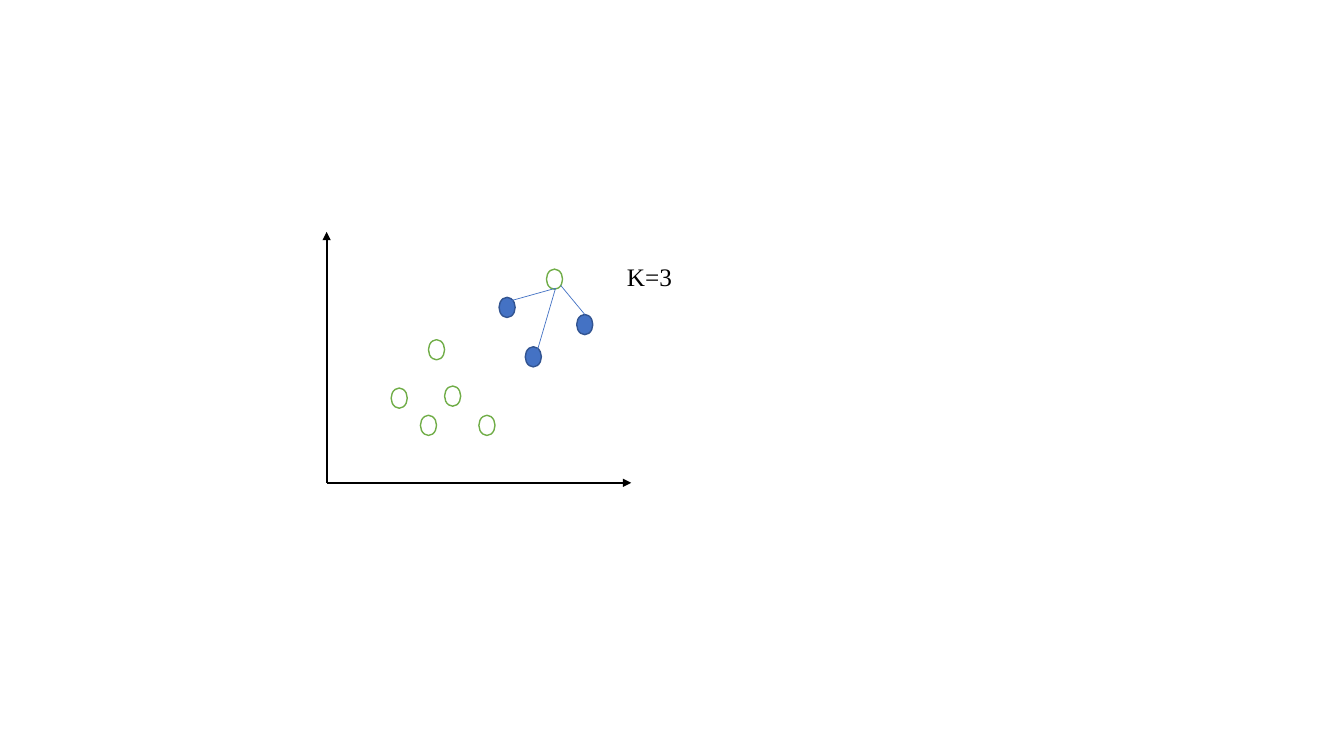
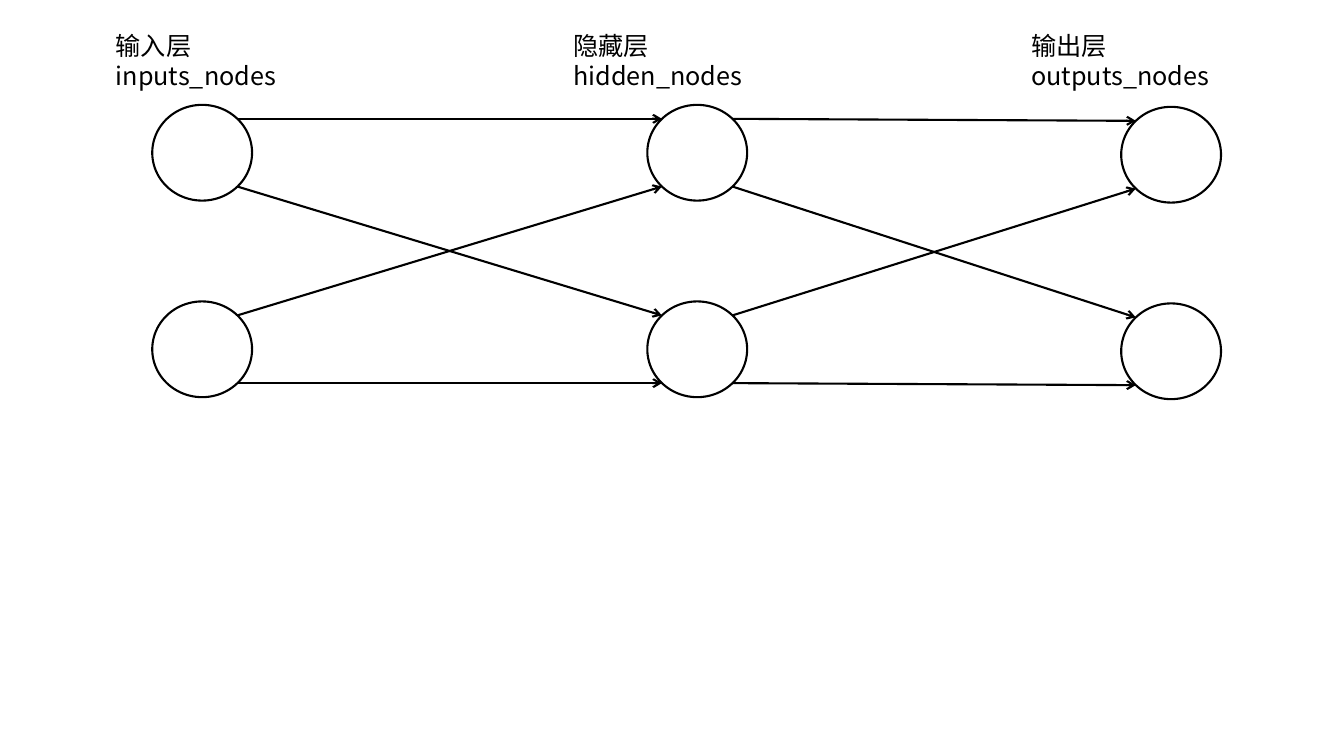
from itertools import product
from math import sqrt

from pptx import Presentation
from pptx.dml.color import RGBColor
from pptx.enum import shapes, text
from pptx.oxml.ns import qn
from pptx.util import Inches, Pt
from lxml import etree

BLACK = RGBColor(0x00, 0x00, 0x00)
WHITE = RGBColor(0xFF, 0xFF, 0xFF)
GREEN = RGBColor(0x70, 0xAD, 0x47)
BLUE = RGBColor(0x44, 0x72, 0xC4)
DARK_BLUE = RGBColor(0x32, 0x54, 0x91)

LATIN_FONT = "Times New Roman"
CJK_FONT = "Noto Sans CJK SC"
POINT_SIZE = (0.16, 0.2)
NODE_SIZE = (0.99, 0.95)
NODE_PITCH = 1.95


def add_circle(slide, left, top, size, fill, outline, weight):
    """Add a filled ellipse with a solid outline."""
    shape = slide.shapes.add_shape(
        shapes.MSO_SHAPE.OVAL, Inches(left), Inches(top), *map(Inches, size))
    shape.shadow.inherit = False
    shape.fill.solid()
    shape.fill.fore_color.rgb = fill
    shape.line.color.rgb = outline
    shape.line.width = Pt(weight)


def add_line(slide, start, end, color, weight, arrowhead=None):
    """Add a straight line, with an optional arrowhead at its end."""
    connector = slide.shapes.add_connector(
        shapes.MSO_CONNECTOR.STRAIGHT, *map(Inches, (*start, *end)))
    connector.line.color.rgb = color
    connector.line.width = Pt(weight)
    if arrowhead:
        outline = connector.line._get_or_add_ln()
        etree.SubElement(outline, qn("a:tailEnd"), type=arrowhead)
    properties = connector._element.spPr
    etree.SubElement(properties, qn("a:effectLst"))


def add_label(slide, left, top, size, lines, font):
    """Add a black 18 point label, one run to a line."""
    box = slide.shapes.add_textbox(
        Inches(left), Inches(top), *map(Inches, size))
    frame = box.text_frame
    frame.word_wrap = True
    frame.auto_size = text.MSO_AUTO_SIZE.NONE
    paragraph = frame.paragraphs[0]
    for index, line in enumerate(lines):
        if index:
            paragraph.add_line_break()
        run = paragraph.add_run()
        run.text = line
        run.font.size = Pt(18)
        run.font.name = font
        run.font.color.rgb = BLACK
        etree.SubElement(run.font._element, qn("a:ea"), typeface=font)


def node_site(left, top, right_side, lower_side):
    """Return the diagonal connection site of a node."""
    width, height = NODE_SIZE
    across = (1 + (1 if right_side else -1) / sqrt(2)) / 2
    down = (1 + (1 if lower_side else -1) / sqrt(2)) / 2
    return left + width * across, top + height * down


def build_neighbours(slide):
    """Draw the scatter of points with the three nearest neighbours."""
    origin = (3.24, 4.79)
    for axis_end in ((6.26, 4.79), (3.24, 2.3)):
        add_line(slide, origin, axis_end, BLACK, 1.5, "triangle")
    open_points = ((5.42, 2.67), (3.88, 3.85), (4.17, 4.12),
                   (4.75, 4.12), (4.25, 3.37), (4.41, 3.83))
    neighbours = ((5.72, 3.12), (5.21, 3.44), (4.95, 2.95))
    for point in open_points:
        add_circle(slide, *point, POINT_SIZE, WHITE, GREEN, 1)
    for point in neighbours:
        add_circle(slide, *point, POINT_SIZE, BLUE, DARK_BLUE, 1)
    links = (((5.32, 3.51), (5.51, 2.86)),
             ((5.8, 3.12), (5.56, 2.83)),
             ((5.08, 2.98), (5.51, 2.86)))
    for start, end in links:
        add_line(slide, start, end, BLUE, 0.5)
    add_label(slide, 6.12, 2.54, (0.75, 0.4), ["K=3"], LATIN_FONT)


def build_network(slide):
    """Draw the fully connected three-layer network."""
    layers = [[(left, top + row * NODE_PITCH) for row in range(2)]
              for left, top in ((1.51, 1.04), (6.42, 1.04), (11.12, 1.06))]
    for layer in layers:
        for node in layer:
            add_circle(slide, *node, NODE_SIZE, WHITE, BLACK, 1.5)
    for sources, targets in zip(layers, layers[1:]):
        for source, target in product(range(2), repeat=2):
            start = node_site(*sources[source], True, target)
            end = node_site(*targets[target], False, source)
            add_line(slide, start, end, BLACK, 1.5, "arrow")
    labels = ((1.05, "输入层", "inputs_nodes"),
              (5.59, "隐藏层", "hidden_nodes"),
              (10.13, "输出层", "outputs_nodes"))
    for left, *lines in labels:
        add_label(slide, left, 0.25, (2.5, 0.7), lines, CJK_FONT)


def main():
    """Build and save the presentation."""
    presentation = Presentation()
    presentation.slide_width = Inches(13.33)
    presentation.slide_height = Inches(7.5)
    for build in (build_neighbours, build_network):
        build(presentation.slides.add_slide(presentation.slide_layouts[6]))
    presentation.save("out.pptx")


main()
